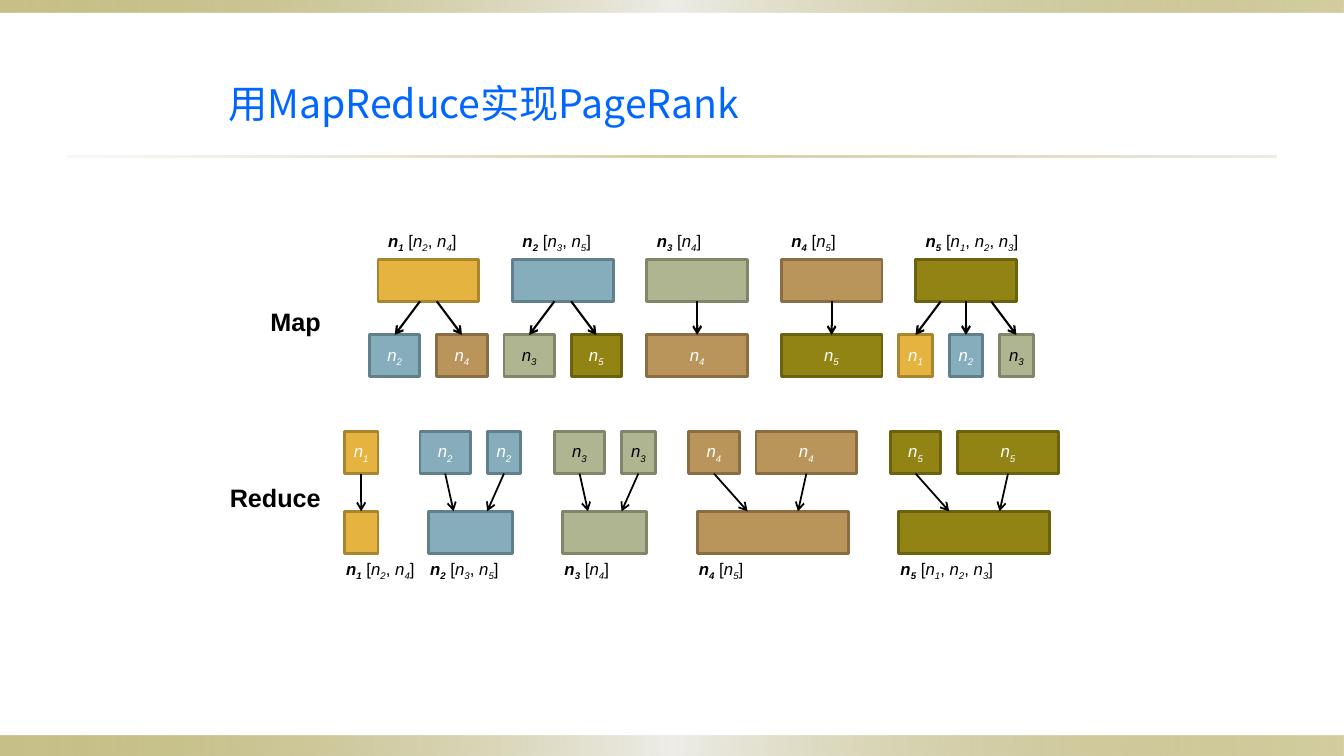
from dataclasses import dataclass
from itertools import accumulate

from lxml.etree import SubElement
from pptx import Presentation
from pptx.dml.color import RGBColor
from pptx.enum.shapes import MSO_CONNECTOR, MSO_SHAPE
from pptx.enum.text import MSO_ANCHOR, MSO_AUTO_SIZE, PP_ALIGN
from pptx.oxml.ns import qn
from pptx.util import Emu, Pt

COLORS = {
    "title": "0066FF", "black": "000000", "white": "FFFFFF",
    "olive": "918415", "silver": "EEEDE8", "sand": "DCD9CC",
}
NODE_FILLS = {1: "E5B440", 2: "85ADBC", 3: "AFB591", 4: "B9945B", 5: "918415"}
NODE_LINES = {1: "A9852F", 2: "62808B", 3: "81866B", 4: "896D43", 5: "6B6210"}
LINKS = {1: (2, 4), 2: (3, 5), 3: (4,), 4: (5,), 5: (1, 2, 3)}
NO_TABLE_STYLE = "{2D5ABB26-0587-4C30-8999-92F81FD0307C}"
BOX_HEIGHT = 40
GAP = 16
MAP_LEFT, MAP_STEP, MAP_WIDTH = 360, 128, 96
MAP_LABEL_TOP, MAP_TOP, EMIT_TOP = 216, 247, 319
INPUT_TOP, RESULT_TOP, RESULT_LABEL_TOP = 411, 487, 529
EMIT_WIDTHS = {1: 96, 2: 48, 3: 32}
EMIT_SPREADS = {1: 0, 2: 16, 3: 24}


@dataclass(frozen=True)
class Band:
    left: int
    top: int
    width: int
    height: int
    stops: tuple


@dataclass(frozen=True)
class Reducer:
    node: int
    left: int
    widths: tuple
    spread: int


@dataclass(frozen=True)
class Stage:
    name: str
    left: int
    top: int
    width: int


BAR_STOPS = (("olive", 50), ("silver", 100), ("olive", 40))
RULE_STOPS = (("sand", 20), ("olive", 40), ("sand", 50))
BANDS = (
    Band(0, 701, 1280, 19, BAR_STOPS),
    Band(0, 0, 1280, 12, BAR_STOPS),
    Band(64, 148, 1152, 2, RULE_STOPS),
)
REDUCERS = (
    Reducer(1, 328, (32,), 0),
    Reducer(2, 400, (48, 32), 32),
    Reducer(3, 528, (48, 32), 32),
    Reducer(4, 656, (48, 96), 48),
    Reducer(5, 848, (48, 96), 48),
)
STAGES = (Stage("Map", 247, 287, 68), Stage("Reduce", 208, 455, 107))


def px(length: float) -> Emu:
    return Emu(round(length * 9525))


def area(left: float, top: float, width: float, height: float) -> tuple:
    return px(left), px(top), px(width), px(height)


def rgb(value: str) -> RGBColor:
    return RGBColor.from_string(value)


def add_span(para, text: str, *, size: int = 12, font: str = "Arial", color: str = "black",
             bold: bool = False, italic: bool = False, subscript: bool = False) -> None:
    span = para.add_run()
    span.text = text
    span.font.size = Pt(size)
    span.font.name = font
    span.font.bold = bold
    span.font.italic = italic
    span.font.color.rgb = rgb(COLORS[color])
    properties = span.font._element
    SubElement(properties, qn("a:ea"), typeface=font)
    if subscript:
        properties.set("baseline", "-25000")


def add_node_name(para, node: int, color: str = "black", bold: bool = False) -> None:
    add_span(para, "n", color=color, bold=bold, italic=True)
    add_span(para, str(node), color=color, bold=bold, italic=True, subscript=True)


def add_band(page, band: Band) -> None:
    shape = page.shapes.add_shape(
        MSO_SHAPE.RECTANGLE, *area(band.left, band.top, band.width, band.height))
    shape.shadow.inherit = False
    shape.line.fill.background()
    shape.fill.gradient()
    shape.fill.gradient_angle = 0
    stop_list = shape._element.spPr.find(qn("a:gradFill")).find(qn("a:gsLst"))
    for stop in list(stop_list):
        stop_list.remove(stop)
    for position, (color, opacity) in enumerate(band.stops):
        stop = SubElement(stop_list, qn("a:gs"), pos=str(position * 50000))
        paint = SubElement(stop, qn("a:srgbClr"), val=COLORS[color])
        SubElement(paint, qn("a:alpha"), val=str(opacity * 1000))


def add_box(page, node: int, left: float, top: int, width: int, named: bool = False):
    box = page.shapes.add_shape(MSO_SHAPE.RECTANGLE, *area(left, top, width, BOX_HEIGHT))
    box.shadow.inherit = False
    box.fill.solid()
    box.fill.fore_color.rgb = rgb(NODE_FILLS[node])
    box.line.color.rgb = rgb(NODE_LINES[node])
    box.line.width = Pt(2)
    if named:
        frame = box.text_frame
        frame.margin_left = frame.margin_right = frame.margin_top = frame.margin_bottom = 0
        frame.word_wrap = False
        frame.vertical_anchor = MSO_ANCHOR.MIDDLE
        para = frame.paragraphs[0]
        para.alignment = PP_ALIGN.CENTER
        add_node_name(para, node, color="black" if node == 3 else "white")
    return box


def add_label(page, node: int, left: float, top: int) -> None:
    table = page.shapes.add_table(1, 1, *area(left, top, 152, 30)).table
    table.first_row = table.horz_banding = False
    table._tbl.tblPr.find(qn("a:tableStyleId")).text = NO_TABLE_STYLE
    cell = table.cell(0, 0)
    cell.fill.background()
    para = cell.text_frame.paragraphs[0]
    add_node_name(para, node, bold=True)
    for position, target in enumerate(LINKS[node]):
        add_span(para, ", " if position else " [")
        add_node_name(para, target)
    add_span(para, "]")


def add_arrow(page, start_box, end_box, start_offset: float, end_offset: float, weight: float) -> None:
    start_x = start_box.left + start_box.width // 2 + px(start_offset)
    end_x = end_box.left + end_box.width // 2 + px(end_offset)
    arrow = page.shapes.add_connector(
        MSO_CONNECTOR.STRAIGHT, start_x, start_box.top + start_box.height, end_x, end_box.top)
    if start_offset == 0:
        arrow.begin_connect(start_box, 2)
    if end_offset == 0:
        arrow.end_connect(end_box, 0)
    arrow.line.color.rgb = rgb(COLORS["black"])
    arrow.line.width = Pt(weight)
    SubElement(arrow.line._get_or_add_ln(), qn("a:tailEnd"), type="arrow")
    SubElement(arrow._element.spPr, qn("a:effectLst"))


def add_mapper(page, node: int) -> None:
    left = MAP_LEFT + MAP_STEP * (node - 1)
    targets = LINKS[node]
    width = EMIT_WIDTHS[len(targets)]
    add_label(page, node, left, MAP_LABEL_TOP)
    source = add_box(page, node, left, MAP_TOP, MAP_WIDTH)
    for position, target in enumerate(targets):
        rank = position - (len(targets) - 1) / 2
        center = left + MAP_WIDTH / 2 + rank * (width + GAP)
        emitted = add_box(page, target, center - width / 2, EMIT_TOP, width, named=True)
        add_arrow(page, source, emitted, rank * EMIT_SPREADS[len(targets)], 0, 1.5)


def add_reducer(page, reducer: Reducer) -> None:
    count = len(reducer.widths)
    result_left = reducer.left + GAP * (count - 1) / 2
    result = add_box(page, reducer.node, result_left, RESULT_TOP, sum(reducer.widths))
    offsets = accumulate((width + GAP for width in reducer.widths), initial=0)
    for position, (width, offset) in enumerate(zip(reducer.widths, offsets)):
        entry = add_box(page, reducer.node, reducer.left + offset, INPUT_TOP, width, named=True)
        rank = position - (count - 1) / 2
        add_arrow(page, entry, result, 0, rank * reducer.spread, 1.25)
    add_label(page, reducer.node, result_left - 8, RESULT_LABEL_TOP)


def add_stage(page, stage: Stage) -> None:
    frame = page.shapes.add_textbox(*area(stage.left, stage.top, stage.width, 38)).text_frame
    frame.word_wrap = False
    frame.auto_size = MSO_AUTO_SIZE.SHAPE_TO_FIT_TEXT
    para = frame.paragraphs[0]
    para.alignment = PP_ALIGN.RIGHT
    add_span(para, stage.name, size=18, bold=True)


def add_title(page, text: str) -> None:
    title = page.shapes.title
    title.left, title.top, title.width, title.height = area(208, 38, 864, 120)
    title.text_frame.vertical_anchor = MSO_ANCHOR.MIDDLE
    para = title.text_frame.paragraphs[0]
    para.alignment = PP_ALIGN.LEFT
    add_span(para, text, size=28, font="Noto Sans CJK SC", color="title")


def main() -> None:
    deck = Presentation()
    deck.slide_width, deck.slide_height = px(1280), px(720)
    page = deck.slides.add_slide(deck.slide_layouts[5])
    for band in BANDS:
        add_band(page, band)
    add_title(page, "用MapReduce实现PageRank")
    for node in LINKS:
        add_mapper(page, node)
    for reducer in REDUCERS:
        add_reducer(page, reducer)
    for stage in STAGES:
        add_stage(page, stage)
    deck.save("out.pptx")


if __name__ == "__main__":
    main()
